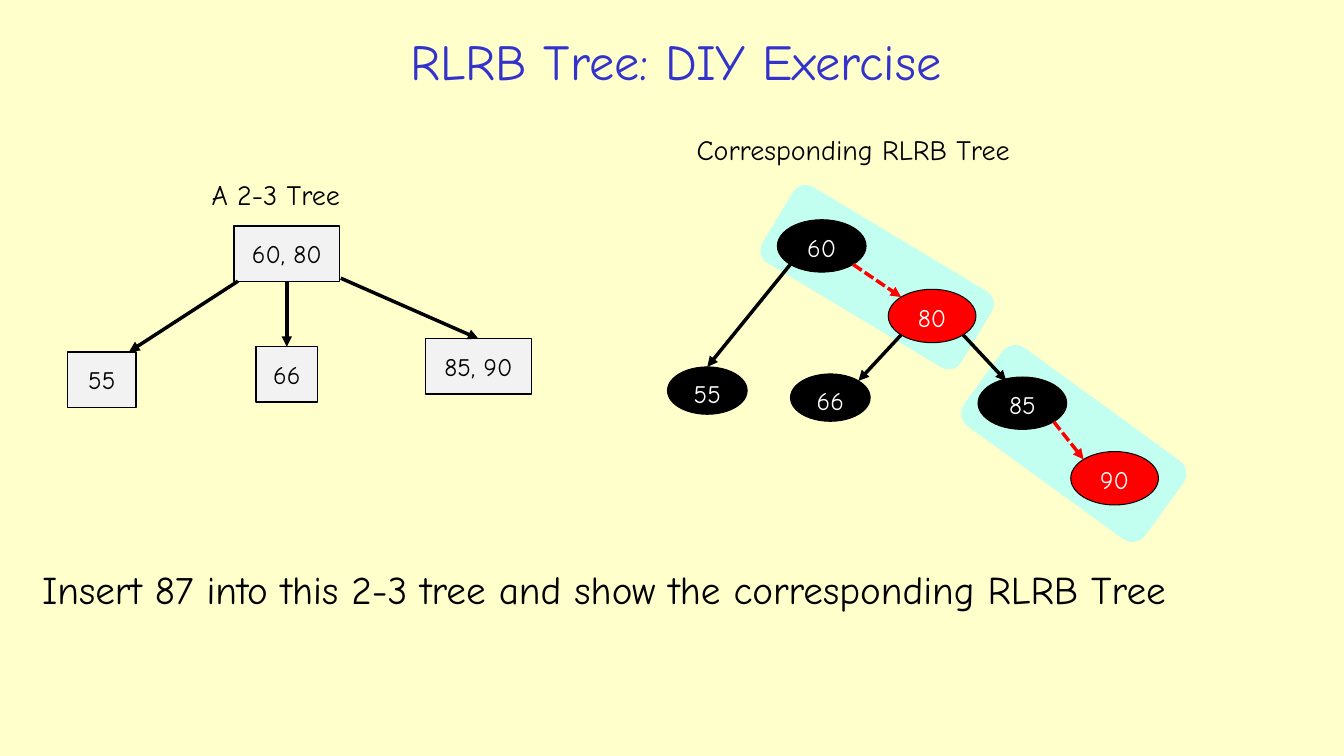
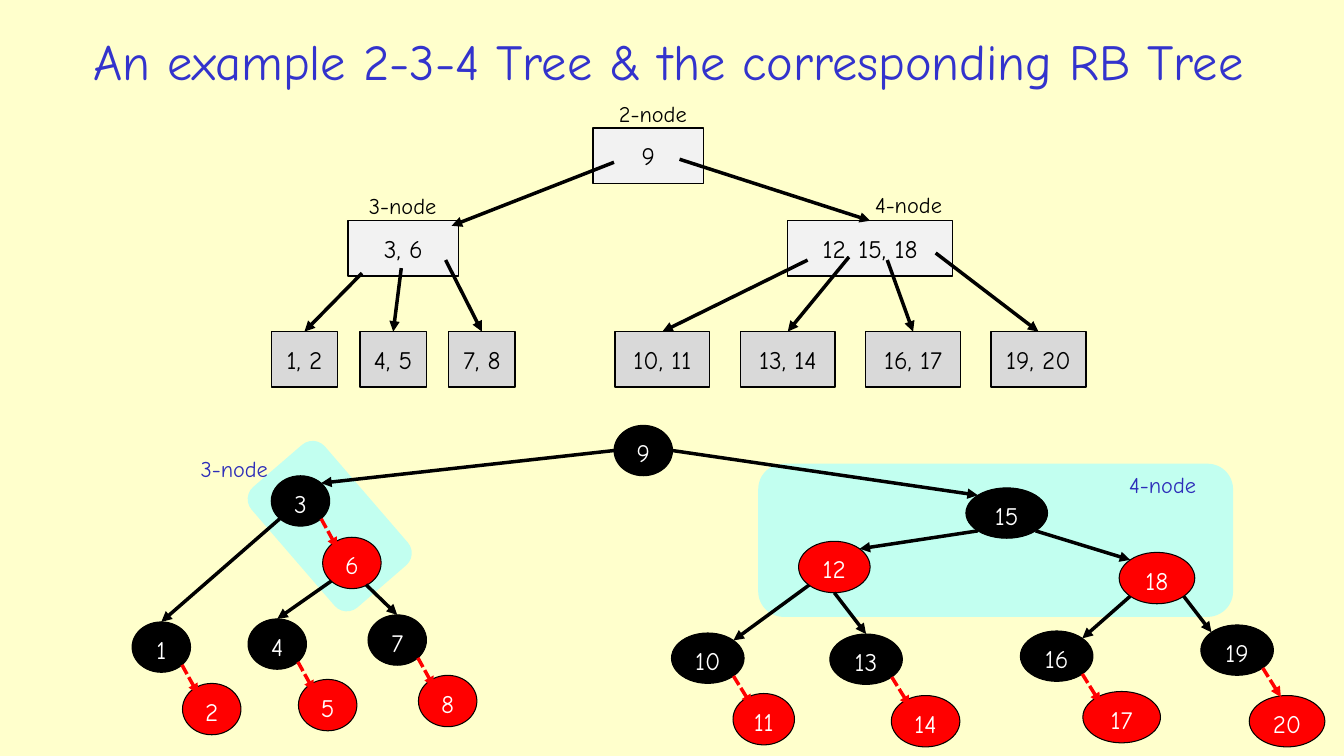
from math import sqrt

from lxml.etree import SubElement
from pptx import Presentation
from pptx.dml.color import RGBColor
from pptx.enum.dml import MSO_LINE
from pptx.enum.shapes import MSO_CONNECTOR, MSO_SHAPE
from pptx.enum.text import MSO_ANCHOR, PP_ALIGN
from pptx.oxml.ns import qn
from pptx.util import Emu, Pt

PX = 9144  # 100 px to the inch
FONT = "Comic Neue"
CREAM = RGBColor(0xFF, 0xFF, 0xCC)
TITLE_BLUE = RGBColor(0x33, 0x33, 0xCC)
LABEL_BLUE = RGBColor(0x2D, 0x2D, 0xB9)
MINT = RGBColor(0xC2, 0xFF, 0xF0)
PALE_GREY = RGBColor(0xF2, 0xF2, 0xF2)
LEAF_GREY = RGBColor(0xD9, 0xD9, 0xD9)
BLACK = RGBColor(0, 0, 0)
WHITE = RGBColor(0xFF, 0xFF, 0xFF)
RED = RGBColor(0xFF, 0, 0)

TOP, BOTTOM = 0, 2
TOP_LEFT, TOP_RIGHT = (-1, -1), (1, -1)
BOTTOM_LEFT, BOTTOM_RIGHT = (-1, 1), (1, 1)
LEFT_SIDE, RIGHT_SIDE, BOTTOM_SIDE = (-1, 0), (1, 0), (0, 1)


def px(*lengths):
    return [Emu(round(length * PX)) for length in lengths]


def set_text(shape, text, *, size, color=BLACK, align=PP_ALIGN.LEFT,
             anchor=MSO_ANCHOR.TOP, wrap=True):
    frame = shape.text_frame
    frame.word_wrap = wrap
    frame.vertical_anchor = anchor
    paragraph = frame.paragraphs[0]
    paragraph.alignment = align
    run = paragraph.add_run()
    run.text = text
    run.font.name = FONT
    run.font.size = Pt(size)
    run.font.color.rgb = color


def add_label(slide, text, box, **text_format):
    set_text(slide.shapes.add_textbox(*px(*box)), text, **text_format)


def add_title(slide, text, left, width):
    add_label(slide, text, (left, 18, width, 84), size=36, color=TITLE_BLUE,
              align=PP_ALIGN.CENTER, anchor=MSO_ANCHOR.MIDDLE)


def add_filled(slide, kind, box, fill, line_width=None):
    shape = slide.shapes.add_shape(kind, *px(*box))
    shape.shadow.inherit = False
    shape.fill.solid()
    shape.fill.fore_color.rgb = fill
    if line_width is None:
        shape.line.fill.background()
    else:
        shape.line.color.rgb = BLACK
        shape.line.width = Pt(line_width)
    return shape


def add_highlight(slide, box, rotation=0):
    add_filled(slide, MSO_SHAPE.ROUNDED_RECTANGLE, box, MINT).rotation = rotation


def add_key_box(slide, keys, left, top, width, fill=PALE_GREY):
    shape = add_filled(slide, MSO_SHAPE.RECTANGLE, (left, top, width, 55), fill, 1)
    set_text(shape, keys, size=18, align=PP_ALIGN.CENTER,
             anchor=MSO_ANCHOR.MIDDLE, wrap=False)
    return shape


def add_node(slide, key, box, fill=BLACK):
    shape = add_filled(slide, MSO_SHAPE.OVAL, box, fill, 0.75)
    set_text(shape, key, size=18, color=WHITE, align=PP_ALIGN.CENTER, wrap=False)
    return shape


def rim(node, direction):
    """Return the px point of an ellipse's rim in one of eight directions."""
    across, down = direction
    reach = 1 / sqrt(across ** 2 + down ** 2)
    x = node.left + node.width / 2 * (1 + across * reach)
    y = node.top + node.height / 2 * (1 + down * reach)
    return x / PX, y / PX


def add_arrow(slide, start, end, color=BLACK, dashed=False):
    """Draw an arrow between px points; a shape joins at its bottom or top."""
    start_point = start if isinstance(start, tuple) else (0, 0)
    end_point = end if isinstance(end, tuple) else (0, 0)
    arrow = slide.shapes.add_connector(
        MSO_CONNECTOR.STRAIGHT, *px(*start_point, *end_point))
    if not isinstance(start, tuple):
        arrow.begin_connect(start, BOTTOM)
    if not isinstance(end, tuple):
        arrow.end_connect(end, TOP)
    arrow.line.color.rgb = color
    arrow.line.width = Pt(2.5)
    if dashed:
        arrow.line.dash_style = MSO_LINE.SQUARE_DOT
    SubElement(arrow.line._get_or_add_ln(), qn("a:tailEnd"), type="triangle")
    SubElement(arrow._element.spPr, qn("a:effectLst"))


def add_red_link(slide, start, end):
    add_arrow(slide, start, end, color=RED, dashed=True)


def add_rim_arrows(slide, nodes, links):
    for parent, side, child, child_side in links:
        end = rim(nodes[child], child_side) if child_side else nodes[child]
        add_arrow(slide, rim(nodes[parent], side), end)


def build_exercise(slide):
    add_highlight(slide, (954, 392, 222, 96), 36)
    add_highlight(slide, (755, 231, 230, 88), 31)
    add_title(slide, "RLRB Tree: DIY Exercise", 44, 1253)
    add_label(slide, "Insert 87 into this 2-3 tree and show the corresponding RLRB Tree",
              (32, 556, 1257, 57), size=28)
    add_label(slide, "A 2-3 Tree", (200, 171, 167, 44), size=20)
    add_label(slide, "Corresponding RLRB Tree", (681, 127, 355, 44), size=20)

    root = add_key_box(slide, "60, 80", 232, 224, 105)
    add_key_box(slide, "55", 67, 349, 68)
    middle = add_key_box(slide, "66", 254, 344, 61)
    right = add_key_box(slide, "85, 90", 422, 336, 105)
    add_arrow(slide, (236, 279), (128, 349))
    add_arrow(slide, root, middle)
    add_arrow(slide, (338, 276), right)

    nodes = {key: add_node(slide, key, box, fill) for key, box, fill in [
        ("60", (771, 218, 88, 52), BLACK),
        ("80", (881, 287, 87, 53), RED),
        ("55", (662, 364, 79, 47), BLACK),
        ("66", (784, 371, 79, 47), BLACK),
        ("85", (970, 374, 88, 52), BLACK),
        ("90", (1062, 448, 87, 53), RED),
    ]}
    for black, red in [("60", "80"), ("85", "90")]:
        add_red_link(slide, rim(nodes[black], BOTTOM_RIGHT), rim(nodes[red], TOP_LEFT))
    add_rim_arrows(slide, nodes, [
        ("60", BOTTOM_LEFT, "55", None),
        ("80", BOTTOM_LEFT, "66", TOP_RIGHT),
    ])
    add_arrow(slide, rim(nodes["80"], BOTTOM_RIGHT), (998, 378))


def build_234_tree(slide):
    add_key_box(slide, "9", 588, 127, 110)
    add_key_box(slide, "3, 6", 345, 219, 110)
    four_node = add_key_box(slide, "12, 15, 18", 781, 219, 164)
    add_arrow(slide, (609, 161), (448, 224))
    add_arrow(slide, (674, 158), four_node)

    leaf_rows = [
        (269, 88, 66, [("1, 2", (359, 271)), ("4, 5", (398, 266)),
                       ("7, 8", (442, 258))]),
        (610, 124.33, 94, [("10, 11", (801, 258)), ("13, 14", (842, 255)),
                           ("16, 17", (880, 258)), ("19, 20", (928, 251))]),
    ]
    for left, pitch, width, leaves in leaf_rows:
        for column, (keys, start) in enumerate(leaves):
            leaf = add_key_box(slide, keys, left + column * pitch, 329, width, LEAF_GREY)
            add_arrow(slide, start, leaf)

    for text, left, top, color in [
        ("2-node", 604, 94, BLACK),
        ("3-node", 356, 186, BLACK),
        ("4-node", 858, 185, BLACK),
        ("3-node", 189, 447, LABEL_BLUE),
        ("4-node", 1110, 462, LABEL_BLUE),
    ]:
        add_label(slide, text, (left, top, 92, 37), size=16, color=color)


def build_red_black_tree(slide):
    nodes = {key: add_node(slide, key, (left, top, width, height), fill)
             for key, left, top, width, height, fill in [
                 ("9", 609, 422, 58, 50, BLACK),
                 ("15", 958, 484, 81, 50, BLACK),
                 ("12", 792, 537, 71, 51, RED),
                 ("18", 1110, 548, 75, 51, RED)]}

    # Black key, left, top; red key, left, top, width
    for black, left, top, red, red_left, red_top, red_width in [
        ("3", 269, 472, "6", 320, 533, 58),
        ("1", 131, 617, "2", 181, 678, 58),
        ("4", 246, 614, "5", 296, 674, 58),
        ("7", 365, 610, "8", 415, 670, 58),
        ("10", 666, 628, "11", 727, 688, 61),
        ("13", 823, 629, "14", 884, 690, 68),
        ("16", 1012, 626, "17", 1074, 686, 77),
        ("19", 1191, 620, "20", 1239, 690, 75),
    ]:
        width, reach = (58, 16) if len(black) == 1 else (72, 18)
        nodes[black] = add_node(slide, black, (left, top, width, 50))
        nodes[red] = add_node(slide, red, (red_left, red_top, red_width, 51), RED)
        x, y = rim(nodes[black], BOTTOM_RIGHT)
        add_red_link(slide, (x, y), (x + reach, y + 29))

    add_rim_arrows(slide, nodes, [
        ("9", LEFT_SIDE, "3", TOP_RIGHT),
        ("9", RIGHT_SIDE, "15", TOP_LEFT),
        ("3", BOTTOM_LEFT, "1", None),
        ("6", BOTTOM_LEFT, "4", None),
        ("15", BOTTOM_LEFT, "12", TOP_RIGHT),
        ("15", BOTTOM_RIGHT, "18", TOP_LEFT),
        ("12", BOTTOM_LEFT, "10", TOP_RIGHT),
        ("12", BOTTOM_SIDE, "13", None),
        ("18", BOTTOM_LEFT, "16", TOP_RIGHT),
        ("18", BOTTOM_RIGHT, "19", TOP_LEFT),
    ])
    add_arrow(slide, (363, 580), nodes["7"])


def build_example(slide):
    add_highlight(slide, (248, 474, 158, 96), 49.2)
    add_highlight(slide, (752, 460, 471, 152))
    add_title(slide, "An example 2-3-4 Tree & the corresponding RB Tree", 20, 1286)
    build_234_tree(slide)
    build_red_black_tree(slide)


def main():
    presentation = Presentation()
    presentation.slide_width, presentation.slide_height = px(1333, 750)
    background = presentation.slide_master.background.fill
    background.solid()
    background.fore_color.rgb = CREAM
    blank = presentation.slide_layouts[6]
    for build in (build_exercise, build_example):
        build(presentation.slides.add_slide(blank))
    presentation.save("out.pptx")


if __name__ == "__main__":
    main()
